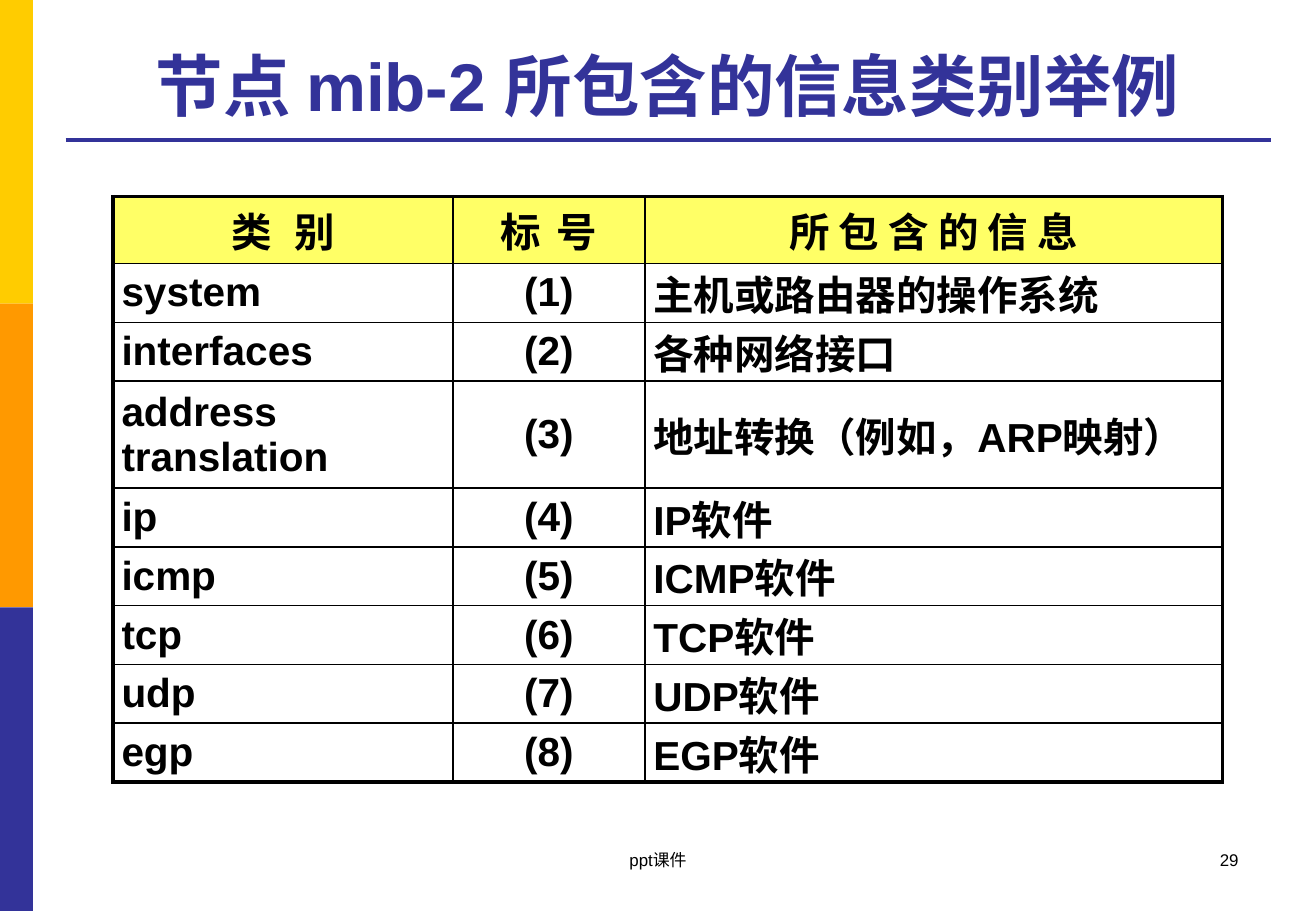
from lxml import etree
from pptx import Presentation
from pptx.dml import color
from pptx.enum import shapes, text
from pptx.oxml import ns
from pptx.util import Cm, Pt

FONT = "Arial"
BLUE = "333399"
BLACK = "000000"
HEADER_YELLOW = "FFFF66"
STRIPE_COLORS = ["FFCC00", "FF9900", BLUE]
THIN, THICK = Pt(1), Pt(2.25)

# Each header has its own letter spacing in points.
HEADERS = [("类 别", 4), ("标 号", 2), ("所 包 含 的 信 息", 0)]
CATEGORIES = [
    ("system", "主机或路由器的操作系统"),
    ("interfaces", "各种网络接口"),
    ("address translation", "地址转换（例如，ARP映射）"),
    ("ip", "IP软件"),
    ("icmp", "ICMP软件"),
    ("tcp", "TCP软件"),
    ("udp", "UDP软件"),
    ("egp", "EGP软件"),
]
COLUMN_WIDTHS = [Cm(7.11), Cm(4.01), Cm(12.07)]
HEADER_HEIGHT, ROW_HEIGHT = Cm(1.4), Cm(1.12)
TALL_ROW = 3


def rgb(value):
    return color.RGBColor.from_string(value)


def write(text_frame, content, size, alignment, bold=False, font_color=BLACK):
    text_frame.text = content
    paragraph = text_frame.paragraphs[0]
    paragraph.alignment = alignment
    font = paragraph.runs[0].font
    font.name, font.size, font.bold = FONT, Pt(size), bold
    font.color.rgb = rgb(font_color)


def add_stripes(slide, slide_height):
    height = slide_height // len(STRIPE_COLORS)
    for index, fill in enumerate(STRIPE_COLORS):
        stripe = slide.shapes.add_shape(
            shapes.MSO_SHAPE.RECTANGLE, 0, index * height, Cm(0.69), height)
        stripe.shadow.inherit = False
        stripe.fill.solid()
        stripe.fill.fore_color.rgb = rgb(fill)
        stripe.line.fill.background()


def add_rule(slide):
    rule = slide.shapes.add_connector(
        shapes.MSO_CONNECTOR.STRAIGHT, Cm(1.37), Cm(2.92), Cm(26.57), Cm(2.92))
    rule.line.color.rgb = rgb(BLUE)
    rule.line.width = THICK
    etree.SubElement(rule._element.spPr, ns.qn("a:effectLst"))


def set_title(slide, content):
    title = slide.shapes.title
    title.left, title.top, title.width, title.height = (
        Cm(1.37), Cm(0.53), Cm(25.17), Cm(2.21))
    frame = title.text_frame
    frame.auto_size = text.MSO_AUTO_SIZE.NONE
    frame.vertical_anchor = text.MSO_ANCHOR.BOTTOM
    write(frame, content, 40, text.PP_ALIGN.CENTER, True, BLUE)


def add_footer(slide, content, left, width, alignment):
    box = slide.shapes.add_textbox(left, Cm(17.65), width, Cm(1.27))
    box.text_frame.word_wrap = True
    write(box.text_frame, content, 10, alignment)


def set_borders(cell, widths):
    """Draw black borders, given widths for left, right, top and bottom."""
    properties = cell._tc.get_or_add_tcPr()
    for index, (side, width) in enumerate(zip("LRTB", widths)):
        line = etree.Element(ns.qn(f"a:ln{side}"), w=str(width))
        fill = etree.SubElement(line, ns.qn("a:solidFill"))
        etree.SubElement(fill, ns.qn("a:srgbClr"), val=BLACK)
        properties.insert(index, line)


def format_cell(cell, content, alignment):
    cell.margin_left = cell.margin_right = Cm(0.18)
    cell.margin_top = cell.margin_bottom = 0
    cell.vertical_anchor = text.MSO_ANCHOR.MIDDLE
    write(cell.text_frame, content, 24, alignment, True)


def add_category_table(slide):
    rows = [[name for name, _ in HEADERS]]
    rows += [[name, f"({number})", information]
             for number, (name, information) in enumerate(CATEGORIES, 1)]
    heights = [HEADER_HEIGHT] + [ROW_HEIGHT] * len(CATEGORIES)
    heights[TALL_ROW] = 2 * ROW_HEIGHT
    table = slide.shapes.add_table(
        len(rows), len(HEADERS), Cm(2.36), Cm(4.11),
        sum(COLUMN_WIDTHS), sum(heights)).table
    table.first_row = table.horz_banding = False
    for column, width in zip(table.columns, COLUMN_WIDTHS):
        column.width = width

    last_row, last_column = len(rows) - 1, len(HEADERS) - 1
    for r, values in enumerate(rows):
        table.rows[r].height = heights[r]
        for c, content in enumerate(values):
            cell = table.cell(r, c)
            centred = r == 0 or c == 1
            format_cell(cell, content, text.PP_ALIGN.CENTER if centred
                        else text.PP_ALIGN.JUSTIFY)
            outer_edges = (c == 0, c == last_column, r == 0, r == last_row)
            set_borders(cell, [THICK if edge else THIN for edge in outer_edges])
            if r == 0:
                cell.fill.solid()
                cell.fill.fore_color.rgb = rgb(HEADER_YELLOW)
                run = cell.text_frame.paragraphs[0].runs[0]
                run.font._element.set("spc", str(HEADERS[c][1] * 100))
            else:
                cell.fill.background()


def main():
    presentation = Presentation()
    presentation.slide_width, presentation.slide_height = Cm(27.51), Cm(19.05)
    slide = presentation.slides.add_slide(presentation.slide_layouts[5])
    add_stripes(slide, presentation.slide_height)
    add_rule(slide)
    set_title(slide, "节点 mib-2 所包含的信息类别举例")
    add_category_table(slide)
    add_footer(slide, "29", Cm(19.71), Cm(6.43), text.PP_ALIGN.RIGHT)
    add_footer(slide, "ppt课件", Cm(9.4), Cm(8.71), text.PP_ALIGN.CENTER)
    presentation.save("out.pptx")


if __name__ == "__main__":
    main()
